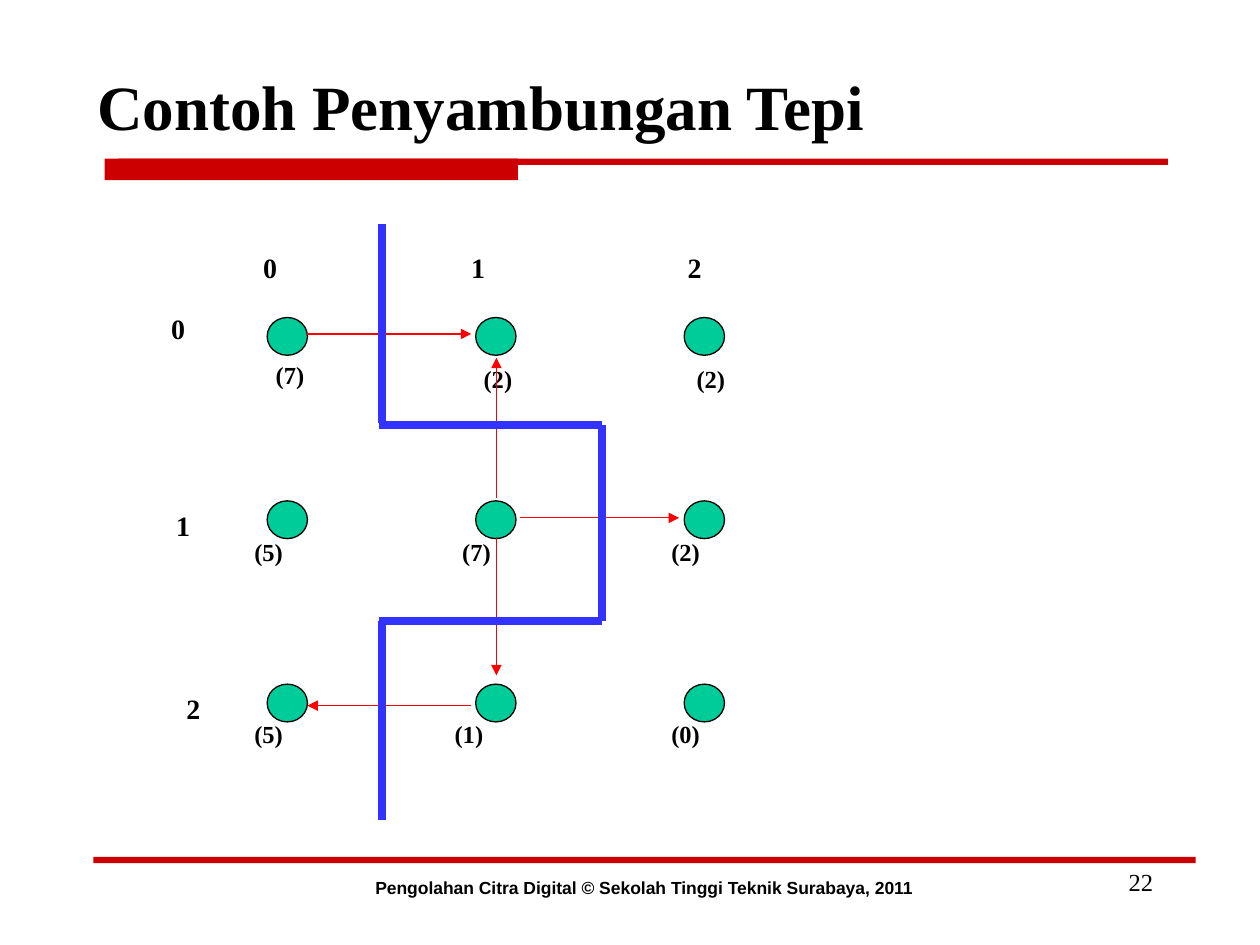
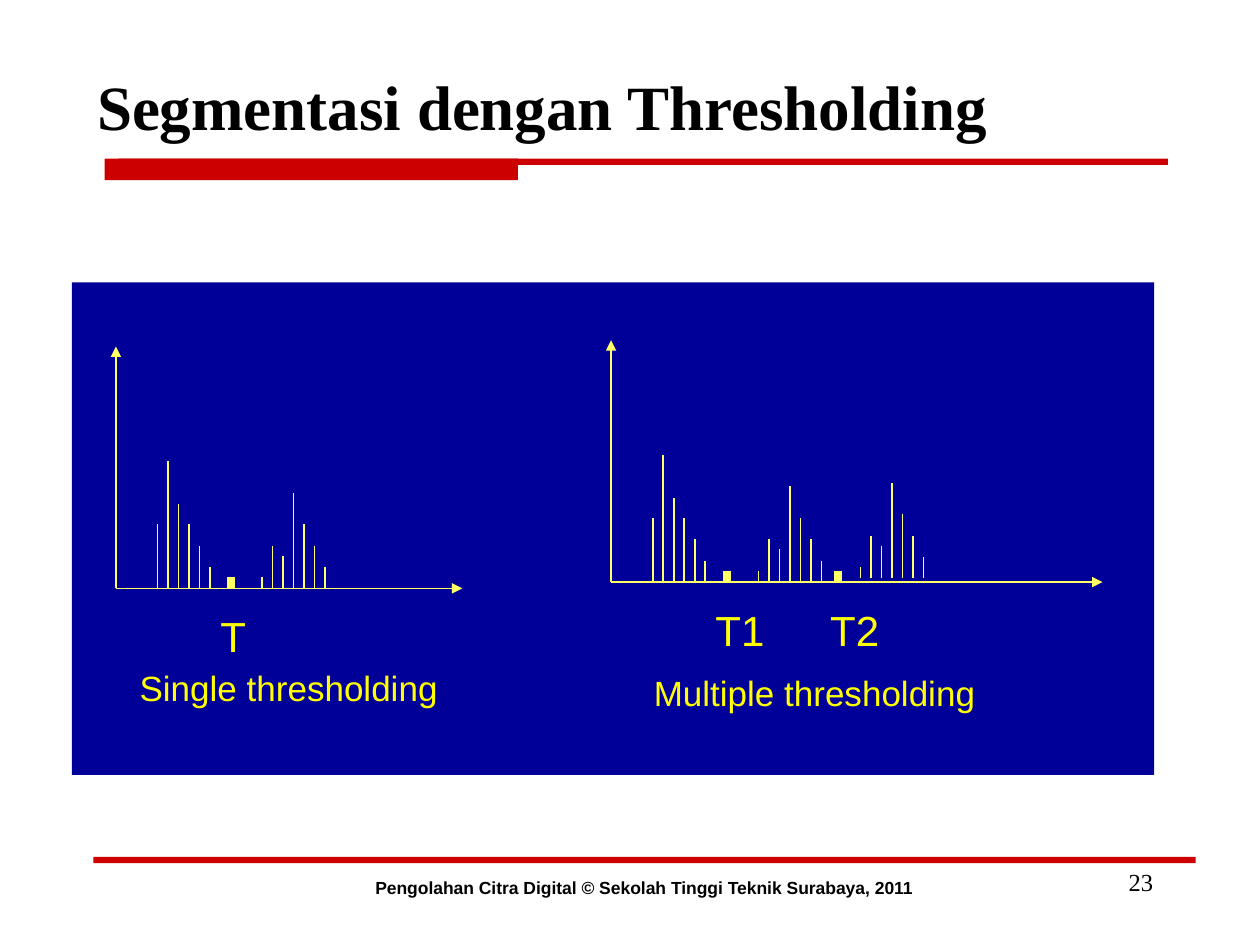
"""Build two slides on edge linking and threshold segmentation."""

from dataclasses import dataclass
from typing import NamedTuple

from lxml.etree import SubElement
from pptx import Presentation
from pptx.dml.color import RGBColor
from pptx.enum.shapes import MSO_CONNECTOR, MSO_SHAPE
from pptx.enum.text import MSO_ANCHOR, MSO_AUTO_SIZE, PP_ALIGN
from pptx.oxml.ns import qn
from pptx.presentation import Presentation as Deck
from pptx.slide import Slide
from pptx.text.text import TextFrame
from pptx.util import Inches, Pt


class TextStyle(NamedTuple):
    font: str
    size: int
    color: str
    bold: bool = False


@dataclass(frozen=True)
class Theme:
    band: str = "CC0000"
    node: str = "00CC99"
    outline: str = "000000"
    link: str = "FF0000"
    boundary: str = "3333FF"
    panel: str = "000099"
    plot: str = "FFFF66"
    fine_line: float = 0.75
    plot_line: float = 1
    heavy_line: float = 4.5
    title: TextStyle = TextStyle("Times New Roman", 36, "000000", True)
    footer: TextStyle = TextStyle("Arial", 10, "000000", True)
    page_number: TextStyle = TextStyle("Times New Roman", 14, "000000")
    node_value: TextStyle = TextStyle("Times New Roman", 14, "000000", True)
    grid_index: TextStyle = TextStyle("Times New Roman", 16, "000000", True)
    threshold: TextStyle = TextStyle("Arial", 24, "FFFF00")
    caption: TextStyle = TextStyle("Arial", 20, "FFFF00")


class Box(NamedTuple):
    left: float
    top: float
    width: float
    height: float


class Label(NamedTuple):
    text: str
    box: Box


class Segment(NamedTuple):
    start_x: float
    start_y: float
    end_x: float
    end_y: float


class Peak(NamedTuple):
    left: float
    base: float
    heights: tuple[float, ...]


@dataclass(frozen=True)
class Histogram:
    origin_x: float
    base: float
    axis_width: float
    peaks: tuple[Peak, ...]
    markers: tuple[float, ...]
    thresholds: tuple[Label, ...]
    caption: Label


THEME = Theme()
FOOTER = "Pengolahan Citra Digital © Sekolah Tinggi Teknik Surabaya, 2011"
BANDS = (
    Box(0.94, 1.26, 8.33, 0.05),
    Box(0.83, 1.26, 3.28, 0.17),
    Box(0.74, 6.8, 8.75, 0.05),
)

NODE = Box(2.12, 2.52, 0.32, 0.3)
COLUMN_STEP, ROW_STEP = 1.655, 1.455
NODE_VALUES = (
    ("(7)", 2.09, 2.81), ("(2)", 3.74, 2.84), ("(2)", 5.43, 2.84),
    ("(5)", 1.92, 4.21), ("(7)", 3.57, 4.21), ("(2)", 5.23, 4.21),
    ("(5)", 1.92, 5.66), ("(1)", 3.51, 5.66), ("(0)", 5.23, 5.66),
)
GRID_INDICES = (
    ("0", 1.99, 1.94), ("1", 3.64, 1.94), ("2", 5.36, 1.94),
    ("0", 1.26, 2.42), ("1", 1.3, 3.99), ("2", 1.38, 5.44),
)
LINKS = (
    Segment(2.44, 2.65, 3.74, 2.65),
    Segment(3.94, 3.95, 3.94, 2.84),
    Segment(4.13, 4.11, 5.39, 4.11),
    Segment(3.94, 4.26, 3.94, 5.36),
    Segment(3.74, 5.6, 2.44, 5.6),
)
BOUNDARY = (
    Segment(3.03, 1.78, 3.03, 3.36),
    Segment(3.03, 4.93, 3.03, 6.51),
    Segment(3.01, 3.37, 4.78, 3.37),
    Segment(3.01, 4.93, 4.78, 4.93),
    Segment(4.78, 4.93, 4.78, 3.37),
)

PANEL = Box(0.57, 2.24, 8.59, 3.91)
BAR_STEP = 1 / 12
AXIS_HEIGHT = 1.92
MARKER_HEIGHT = 0.09
DARK_PEAK = (0.51, 1.01, 0.67, 0.51, 0.34, 0.17)
LIGHT_PEAK = (0.09, 0.34, 0.26, 0.76, 0.51, 0.34, 0.17)
HISTOGRAMS = (
    Histogram(
        0.92, 4.67, 2.75,
        (Peak(1.25, 4.67, DARK_PEAK), Peak(2.08, 4.67, LIGHT_PEAK)),
        (1.83,),
        (Label("T", Box(1.65, 4.8, 0.4, 0.5)),),
        Label("Single thresholding", Box(1.01, 5.24, 2.56, 0.44)),
    ),
    Histogram(
        4.85, 4.62, 3.9,
        (
            Peak(5.18, 4.62, DARK_PEAK),
            Peak(6.02, 4.62, LIGHT_PEAK),
            Peak(6.83, 4.59, LIGHT_PEAK),
        ),
        (5.77, 6.65),
        (
            Label("T1", Box(5.58, 4.75, 0.59, 0.5)),
            Label("T2", Box(6.49, 4.75, 0.59, 0.5)),
        ),
        Label("Multiple thresholding", Box(5.09, 5.28, 2.75, 0.44)),
    ),
)


def inches(box: Box | Segment) -> list[Inches]:
    """Convert every measure of a box or segment to a length."""
    return [Inches(measure) for measure in box]


def write_text(
    frame: TextFrame, text: str, style: TextStyle, alignment: PP_ALIGN, wrap: bool
) -> None:
    """Fill a text frame with one styled paragraph."""
    frame.text = text
    frame.word_wrap = wrap
    frame.auto_size = MSO_AUTO_SIZE.NONE
    paragraph = frame.paragraphs[0]
    paragraph.alignment = alignment
    font = paragraph.runs[0].font
    font.name, font.size, font.bold = style.font, Pt(style.size), style.bold
    font.color.rgb = RGBColor.from_string(style.color)


def add_label(
    slide: Slide,
    label: Label,
    style: TextStyle,
    alignment: PP_ALIGN = PP_ALIGN.LEFT,
    wrap: bool = False,
) -> None:
    """Add a text box holding one label."""
    text_box = slide.shapes.add_textbox(*inches(label.box))
    write_text(text_box.text_frame, label.text, style, alignment, wrap)


def add_filled_shape(
    slide: Slide, kind: MSO_SHAPE, box: Box, fill: str, outline: str | None = None
) -> None:
    """Add a flat shape with an optional outline."""
    shape = slide.shapes.add_shape(kind, *inches(box))
    shape.shadow.inherit = False
    shape.fill.solid()
    shape.fill.fore_color.rgb = RGBColor.from_string(fill)
    if outline is None:
        shape.line.fill.background()
    else:
        shape.line.color.rgb = RGBColor.from_string(outline)
        shape.line.width = Pt(THEME.fine_line)


def add_line(
    slide: Slide, segment: Segment, color: str, width: float, arrow: bool = False
) -> None:
    """Add a straight line, with an arrowhead at its end if asked."""
    connector = slide.shapes.add_connector(MSO_CONNECTOR.STRAIGHT, *inches(segment))
    connector.line.color.rgb = RGBColor.from_string(color)
    connector.line.width = Pt(width)
    if arrow:
        SubElement(connector.line._get_or_add_ln(), qn("a:tailEnd"), type="triangle")
    SubElement(connector._element.spPr, qn("a:effectLst"))


def add_titled_slide(presentation: Deck, title: str, number: int) -> Slide:
    """Add a slide with the shared title, bands and footer."""
    slide = presentation.slides.add_slide(presentation.slide_layouts[5])
    for band in BANDS:
        add_filled_shape(slide, MSO_SHAPE.RECTANGLE, band, THEME.band)
    placeholder = slide.shapes.title
    placeholder.left, placeholder.top, placeholder.width, placeholder.height = inches(
        Box(0.67, 0.21, 8.5, 1.25)
    )
    write_text(placeholder.text_frame, title, THEME.title, PP_ALIGN.LEFT, True)
    placeholder.text_frame.vertical_anchor = MSO_ANCHOR.MIDDLE
    page_label = Label(str(number), Box(7.17, 6.83, 2.08, 0.5))
    add_label(slide, page_label, THEME.page_number, PP_ALIGN.RIGHT, True)
    footer_label = Label(FOOTER, Box(1.84, 6.91, 6.54, 0.27))
    add_label(slide, footer_label, THEME.footer, PP_ALIGN.CENTER, True)
    return slide


def build_edge_linking(presentation: Deck) -> None:
    """Draw the pixel grid with its links and the edge boundary."""
    slide = add_titled_slide(presentation, "Contoh Penyambungan Tepi", 22)
    for row in range(3):
        for column in range(3):
            node = NODE._replace(
                left=NODE.left + column * COLUMN_STEP, top=NODE.top + row * ROW_STEP
            )
            add_filled_shape(slide, MSO_SHAPE.OVAL, node, THEME.node, THEME.outline)
    for text, left, top in NODE_VALUES:
        add_label(slide, Label(text, Box(left, top, 0.43, 0.34)), THEME.node_value)
    for text, left, top in GRID_INDICES:
        add_label(slide, Label(text, Box(left, top, 0.31, 0.37)), THEME.grid_index)
    for link in LINKS:
        add_line(slide, link, THEME.link, THEME.fine_line, arrow=True)
    for side in BOUNDARY:
        add_line(slide, side, THEME.boundary, THEME.heavy_line)


def add_histogram(slide: Slide, histogram: Histogram) -> None:
    """Draw the axes, bars, threshold markers and labels of a histogram."""
    left, base = histogram.origin_x, histogram.base
    for axis in (
        Segment(left, base, left, base - AXIS_HEIGHT),
        Segment(left, base, left + histogram.axis_width, base),
    ):
        add_line(slide, axis, THEME.plot, THEME.plot_line, arrow=True)
    for peak in histogram.peaks:
        for index, height in enumerate(peak.heights):
            x = peak.left + index * BAR_STEP
            bar = Segment(x, peak.base, x, peak.base - height)
            add_line(slide, bar, THEME.plot, THEME.plot_line)
    for x in histogram.markers:
        marker = Segment(x, base, x, base - MARKER_HEIGHT)
        add_line(slide, marker, THEME.plot, THEME.heavy_line)
    for threshold in histogram.thresholds:
        add_label(slide, threshold, THEME.threshold)
    add_label(slide, histogram.caption, THEME.caption)


def build_thresholding(presentation: Deck) -> None:
    """Draw the single and multiple threshold histograms on a panel."""
    slide = add_titled_slide(presentation, "Segmentasi dengan Thresholding", 23)
    add_filled_shape(slide, MSO_SHAPE.RECTANGLE, PANEL, THEME.panel)
    for histogram in HISTOGRAMS:
        add_histogram(slide, histogram)


def main() -> None:
    """Build and save the presentation."""
    presentation = Presentation()
    presentation.slide_width, presentation.slide_height = Inches(10), Inches(7.5)
    build_edge_linking(presentation)
    build_thresholding(presentation)
    presentation.save("out.pptx")


if __name__ == "__main__":
    main()
